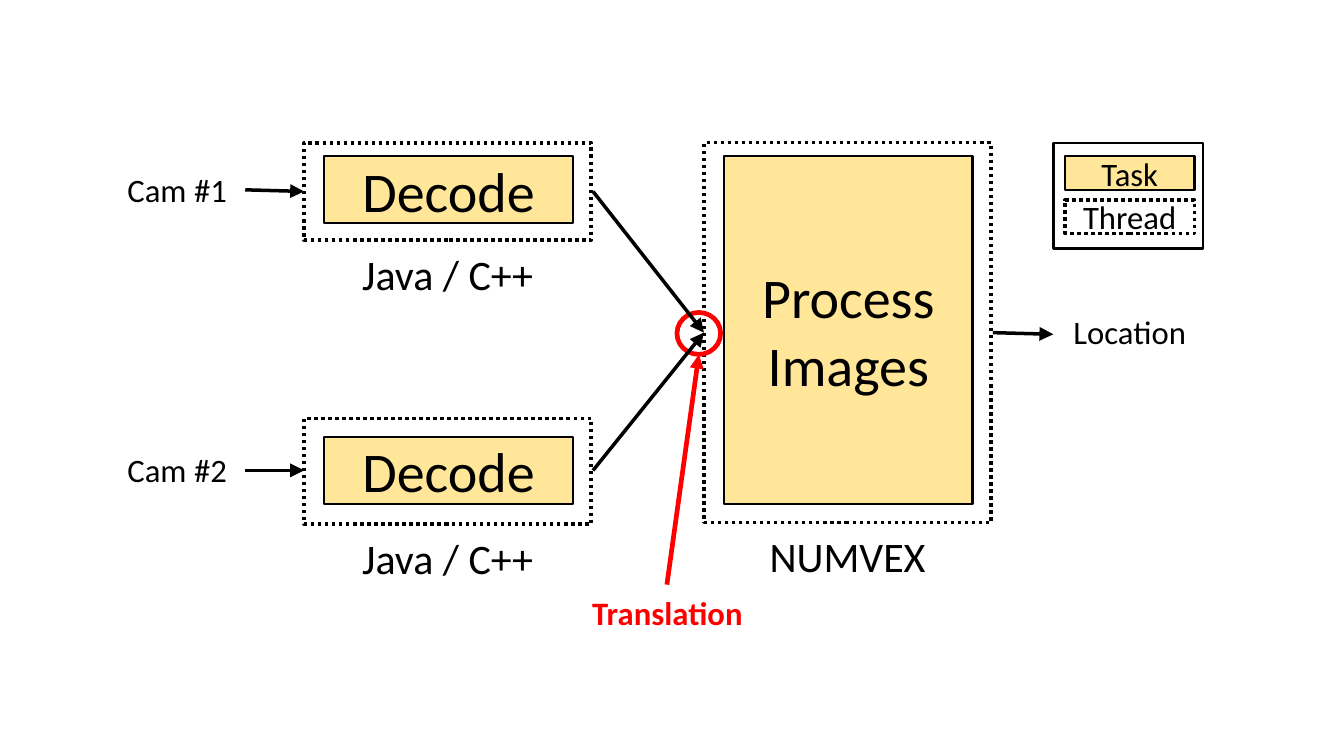
from lxml.etree import SubElement
from pptx import Presentation
from pptx.dml.color import RGBColor
from pptx.enum.dml import MSO_LINE
from pptx.enum.shapes import MSO_CONNECTOR, MSO_SHAPE
from pptx.enum.text import MSO_ANCHOR, PP_ALIGN
from pptx.oxml.ns import qn
from pptx.util import Inches, Pt

BLACK, RED, TASK_FILL = "000000", "FF0000", "FFE699"
THREAD_WIDTH, TASK_WIDTH = 1.71, 1.48
DECODE_LEFT, PROCESS_LEFT, TASK_INSET = 1.81, 4.19, 0.12
LABEL_HEIGHT, CAPTION_HEIGHT = 0.34, 0.4
MERGE = (4.19, 1.98)

STAGES = [
    ("Decode", "Java / C++", (DECODE_LEFT, 0.85, 0.58), (0.93, 0.4)),
    ("Process\nImages", "NUMVEX", (PROCESS_LEFT, 0.85, 2.26), (0.93, 2.07)),
    ("Decode", "Java / C++", (DECODE_LEFT, 2.49, 0.63), (2.6, 0.4)),
]
LABELS = [
    ("Cam #1", (0.65, 0.96, 0.81), PP_ALIGN.CENTER, BLACK, False),
    ("Cam #2", (0.65, 2.63, 0.81), PP_ALIGN.CENTER, BLACK, False),
    ("Location", (6.28, 1.81, 0.89), PP_ALIGN.CENTER, BLACK, False),
    ("Translation", (3.41, 3.48, 1.11), PP_ALIGN.RIGHT, RED, True),
]
FLOWS = [
    ((1.46, 1.13), (1.81, 1.14), BLACK, 1.5),
    ((1.46, 2.8), (1.81, 2.8), BLACK, 1.5),
    ((3.53, 1.14), MERGE, BLACK, 1.5),
    ((3.53, 2.8), MERGE, BLACK, 1.5),
    ((5.91, 1.98), (6.27, 1.99), BLACK, 1.5),
    ((3.97, 3.48), (4.16, 2.11), RED, 2),
]
LEGEND_FRAME = (6.27, 0.85, 0.89, 0.63)
LEGEND = [
    ("Task", 0.93, TASK_FILL, 1, False),
    ("Thread", 1.19, None, 1.5, True),
]


def rgb(color):
    return RGBColor.from_string(color)


def write(frame, text, size, color=BLACK, bold=False, align=PP_ALIGN.CENTER):
    frame.text = text
    for paragraph in frame.paragraphs:
        paragraph.alignment = align
        for run in paragraph.runs:
            run.font.name = "Calibri"
            run.font.size = Pt(size)
            run.font.bold = bold
            run.font.color.rgb = rgb(color)


def add_box(parent, place, fill=None, width=1, dotted=False, text="", size=14,
            outline=BLACK, preset=MSO_SHAPE.RECTANGLE):
    box = parent.add_shape(preset, *map(Inches, place))
    box.shadow.inherit = False
    if fill:
        box.fill.solid()
        box.fill.fore_color.rgb = rgb(fill)
    else:
        box.fill.background()
    box.line.color.rgb = rgb(outline)
    box.line.width = Pt(width)
    if dotted:
        box.line.dash_style = MSO_LINE.ROUND_DOT
    if text:
        box.text_frame.vertical_anchor = MSO_ANCHOR.MIDDLE
        write(box.text_frame, text, size)


def add_label(place, text, size, **style):
    label = slide.shapes.add_textbox(*map(Inches, place))
    label.text_frame.word_wrap = False
    write(label.text_frame, text, size, **style)


def add_arrow(start, end, color, width):
    arrow = slide.shapes.add_connector(
        MSO_CONNECTOR.STRAIGHT, *map(Inches, start + end))
    arrow.line.color.rgb = rgb(color)
    arrow.line.width = Pt(width)
    SubElement(arrow.line._get_or_add_ln(), qn("a:tailEnd"), type="triangle")
    SubElement(arrow._element.spPr, qn("a:effectLst"))


deck = Presentation()
deck.slide_width, deck.slide_height = Inches(8), Inches(4.5)
slide = deck.slides.add_slide(deck.slide_layouts[6])

legend = slide.shapes.add_group_shape()
add_box(legend.shapes, LEGEND_FRAME)
for name, top, fill, width, dotted in LEGEND:
    add_box(legend.shapes, (6.34, top, 0.77, 0.2), fill, width, dotted, name)

for name, language, (left, top, height), (task_top, task_height) in STAGES:
    add_label((left, top + height, THREAD_WIDTH, CAPTION_HEIGHT), language, 18)
    add_box(slide.shapes, (left + TASK_INSET, task_top, TASK_WIDTH, task_height),
            TASK_FILL, text=name, size=24)
    add_box(slide.shapes, (left, top, THREAD_WIDTH, height), width=1.5, dotted=True)

for text, (left, top, width), align, color, bold in LABELS:
    add_label((left, top, width, LABEL_HEIGHT), text, 14,
              align=align, color=color, bold=bold)

add_box(slide.shapes, (4.03, 1.86, 0.26, 0.25), width=2, outline=RED,
        preset=MSO_SHAPE.OVAL)
for flow in FLOWS:
    add_arrow(*flow)

deck.save("out.pptx")
